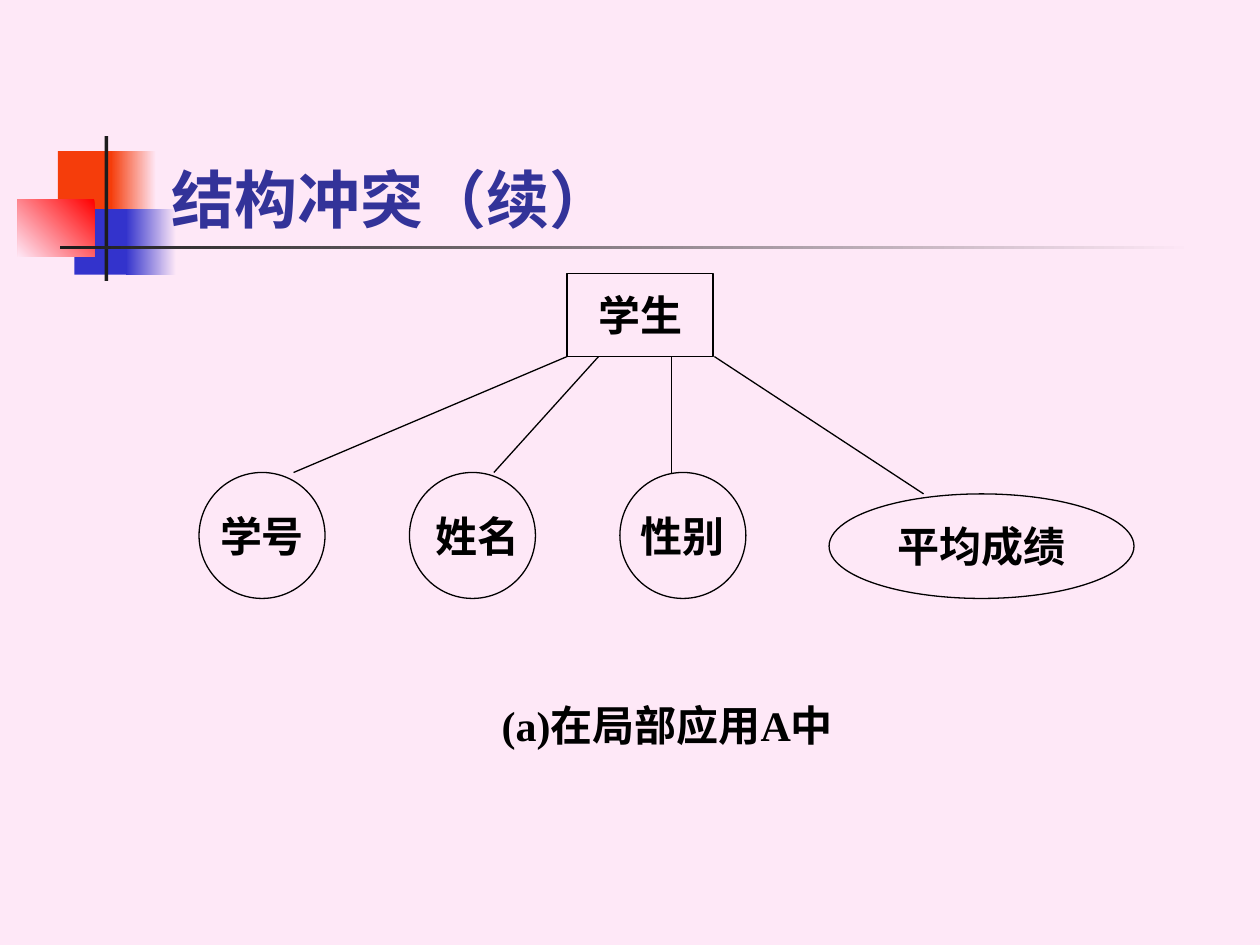
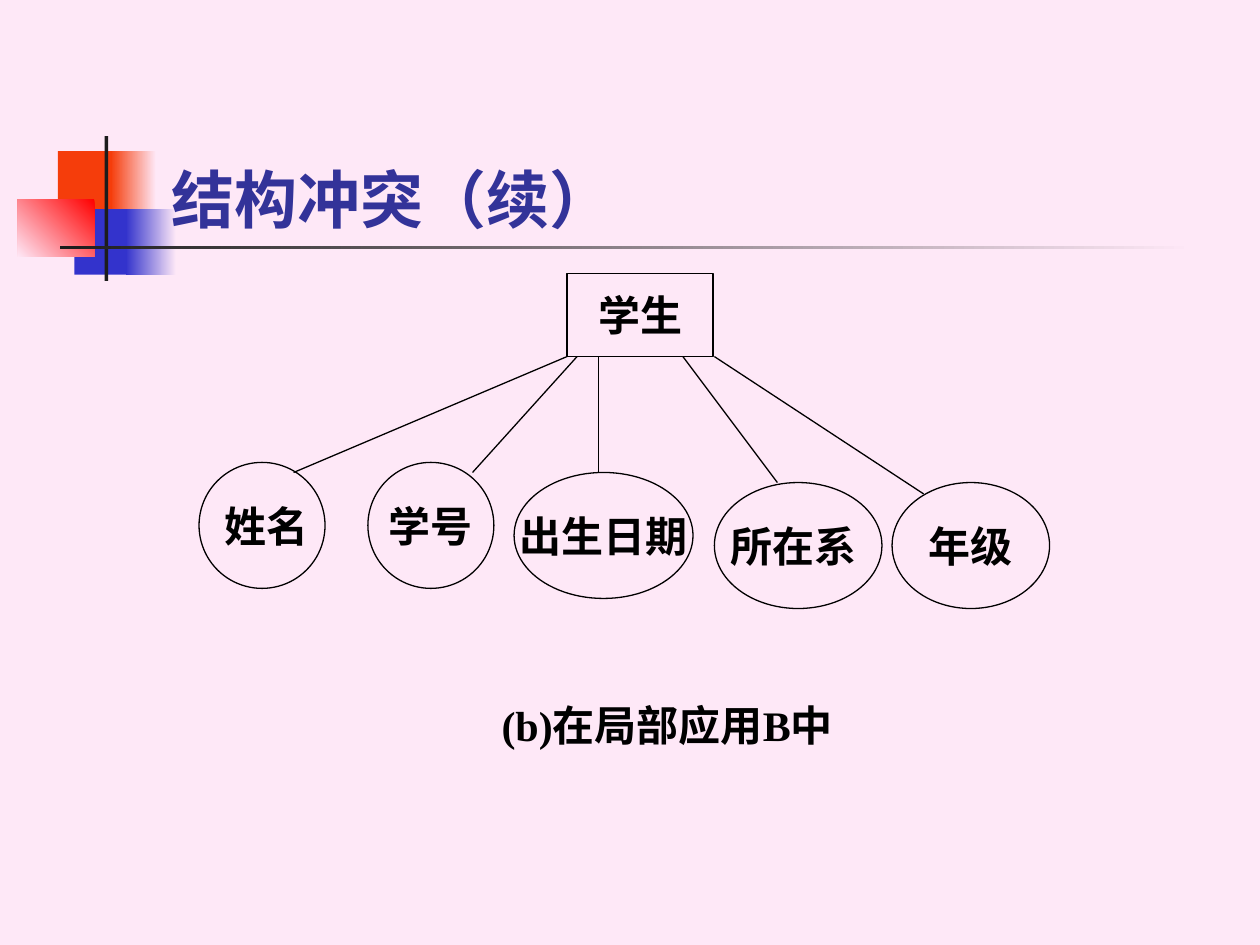
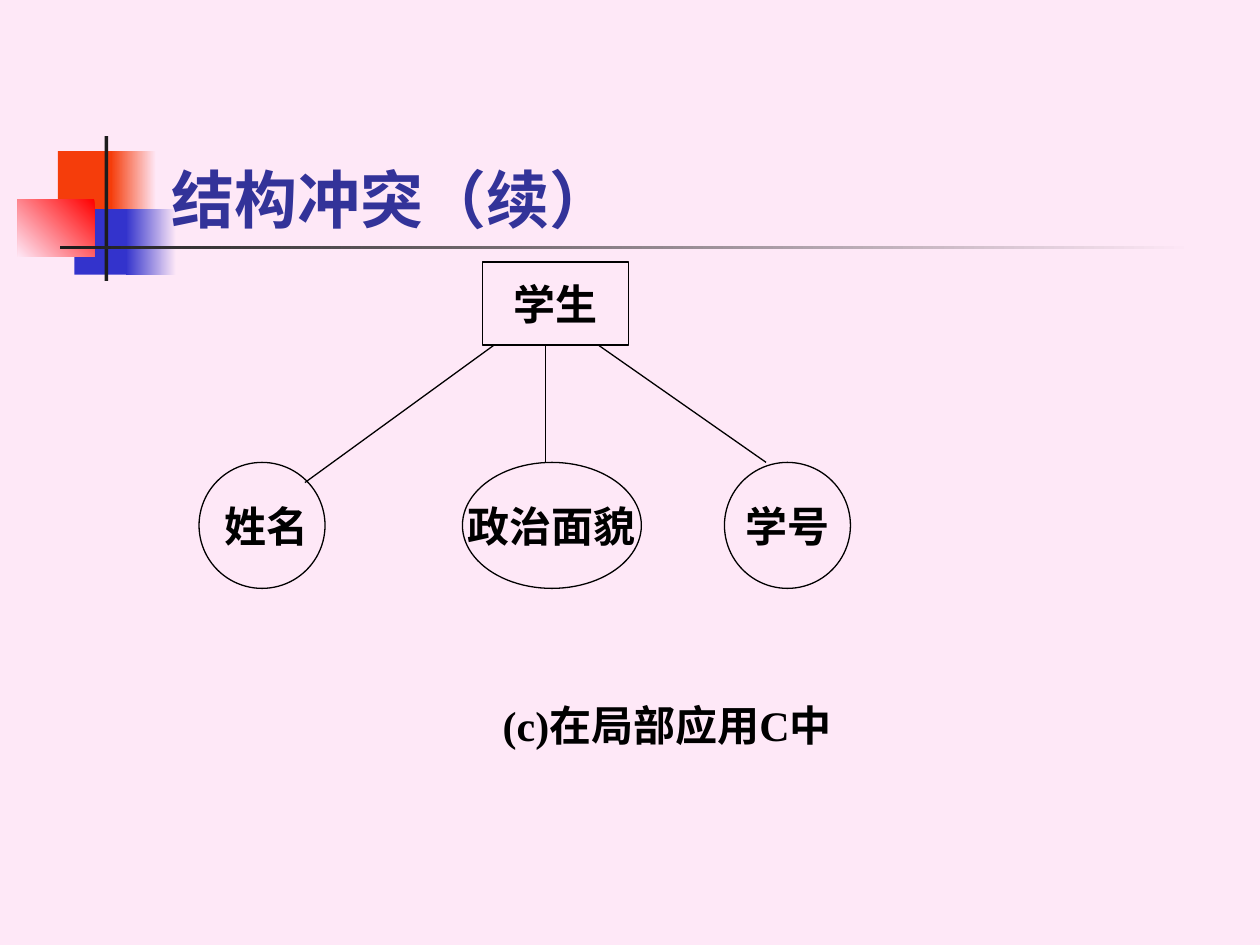
"""Build three slides showing the student entity in local applications A, B and C."""
from lxml import etree
from pptx import Presentation
from pptx.dml.color import RGBColor
from pptx.enum.shapes import MSO_CONNECTOR, MSO_SHAPE
from pptx.enum.text import MSO_ANCHOR, PP_ALIGN
from pptx.oxml.ns import qn
from pptx.util import Inches, Pt

RECTANGLE, OVAL = MSO_SHAPE.RECTANGLE, MSO_SHAPE.OVAL
STRAIGHT = MSO_CONNECTOR.STRAIGHT
LEFT, CENTER = PP_ALIGN.LEFT, PP_ALIGN.CENTER
MIDDLE, BOTTOM = MSO_ANCHOR.MIDDLE, MSO_ANCHOR.BOTTOM

PINK, ORANGE, BLUE, RED = "FEE8F7", "F53D0B", "3333CC", "FF0000"
CHARCOAL, NAVY, BLACK = "1C1C1C", "333399", "000000"

TITLE = "结构冲突（续）"
TITLE_PLACE = (1.26, 0.67, 8.52, 1.25)
CAPTION_PLACE = (3.67, 5.42, 3.25, 0.67)
ENTITY = "学生"
ENTITY_SIZE = (1.16, 0.66)

# Each band: place, colours from first to last stop, gradient angle.
BANDS = [
    ((0.46, 1.2, 0.48, 0.52), [ORANGE], 0),
    ((0.88, 1.2, 0.36, 0.52), [PINK, ORANGE], 180),
    ((0.59, 1.66, 0.46, 0.52), [BLUE], 0),
    ((1, 1.66, 0.4, 0.52), [PINK, BLUE], 180),
    ((0.14, 1.58, 0.61, 0.46), [RED, PINK], 225),
    ((0.83, 1.08, 0.03, 1.15), [CHARCOAL], 0),
    ((0.48, 1.95, 9, 0.03), [PINK, CHARCOAL], 180),
]

# Each attribute: text, oval place, line start x, line end point.
DIAGRAMS = [
    {"caption": "(a)在局部应用A中", "entity": (4.5, 2.17), "attributes": [
        ("学号", (1.58, 3.75, 1, 1), 4.5, (2.33, 3.75)),
        (" 姓名", (3.25, 3.75, 1, 1), 4.75, (3.92, 3.75)),
        ("性别", (4.92, 3.75, 1, 1), 5.33, (5.33, 3.75)),
        ("平均成绩", (6.58, 3.92, 2.42, 0.83), 5.67, (7.33, 3.92)),
    ]},
    {"caption": "(b)在局部应用B中", "entity": (4.5, 2.17), "attributes": [
        (" 姓名", (1.58, 3.67, 1, 1), 4.5, (2.33, 3.75)),
        ("学号", (2.92, 3.67, 1, 1), 4.58, (3.75, 3.75)),
        ("出生日期", (4.08, 3.75, 1.42, 1), 4.75, (4.75, 3.75)),
        ("所在系 ", (5.67, 3.83, 1.33, 1), 5.42, (6.17, 3.83)),
        ("年级", (7.08, 3.83, 1.25, 1), 5.67, (7.33, 3.92)),
    ]},
    {"caption": "(c)在局部应用C中", "entity": (3.83, 2.08), "attributes": [
        (" 姓名", (1.58, 3.67, 1, 1), 3.92, (2.42, 3.83)),
        (" 政治面貌 ", (3.67, 3.67, 1.42, 1), 4.33, (4.33, 3.67)),
        ("学号", (5.75, 3.67, 1, 1), 4.75, (6.08, 3.67)),
    ]},
]


def color(value):
    return RGBColor.from_string(value)


def inches(values):
    return [Inches(value) for value in values]


def write(shape, text, size=24, font="Times New Roman", ink=BLACK,
          align=CENTER, anchor=MIDDLE, wrap=False):
    frame = shape.text_frame
    frame.word_wrap = wrap
    frame.vertical_anchor = anchor
    para = frame.paragraphs[0]
    para.text = text
    para.alignment = align
    para.font.size = Pt(size)
    para.font.name = font
    para.font.bold = True
    para.font.color.rgb = color(ink)


def add_band(page, place, colors, angle):
    band = page.shapes.add_shape(RECTANGLE, *inches(place))
    band.shadow.inherit = False
    band.line.fill.background()
    if len(colors) == 1:
        band.fill.solid()
        band.fill.fore_color.rgb = color(colors[0])
        return
    band.fill.gradient()
    band.fill.gradient_angle = angle
    for stop, value in zip(band.fill.gradient_stops, colors):
        stop.color.rgb = color(value)


def add_node(page, kind, place, text):
    node = page.shapes.add_shape(kind, *inches(place))
    node.shadow.inherit = False
    node.fill.background()
    node.line.color.rgb = color(BLACK)
    node.line.width = Pt(0.75)
    write(node, text)


def add_link(page, start, end):
    link = page.shapes.add_connector(STRAIGHT, *inches(start + end))
    link.line.color.rgb = color(BLACK)
    link.line.width = Pt(0.75)
    etree.SubElement(link._element.spPr, qn("a:effectLst"))


def add_diagram(page, diagram):
    left, top = diagram["entity"]
    add_node(page, RECTANGLE, (left, top) + ENTITY_SIZE, ENTITY)
    bottom = top + ENTITY_SIZE[1]
    for text, place, start, end in diagram["attributes"]:
        add_node(page, OVAL, place, text)
        add_link(page, (start, bottom), end)
    caption = page.shapes.add_textbox(*inches(CAPTION_PLACE))
    write(caption, diagram["caption"])


def main():
    deck = Presentation()
    deck.slide_width, deck.slide_height = inches((10, 7.5))
    backdrop = deck.slide_master.background.fill
    backdrop.solid()
    backdrop.fore_color.rgb = color(PINK)
    for diagram in DIAGRAMS:
        page = deck.slides.add_slide(deck.slide_layouts[6])
        for band in BANDS:
            add_band(page, *band)
        title = page.shapes.add_textbox(*inches(TITLE_PLACE))
        write(title, TITLE, 36, "Lato", NAVY, LEFT, BOTTOM, True)
        add_diagram(page, diagram)
    deck.save("out.pptx")


if __name__ == "__main__":
    main()
